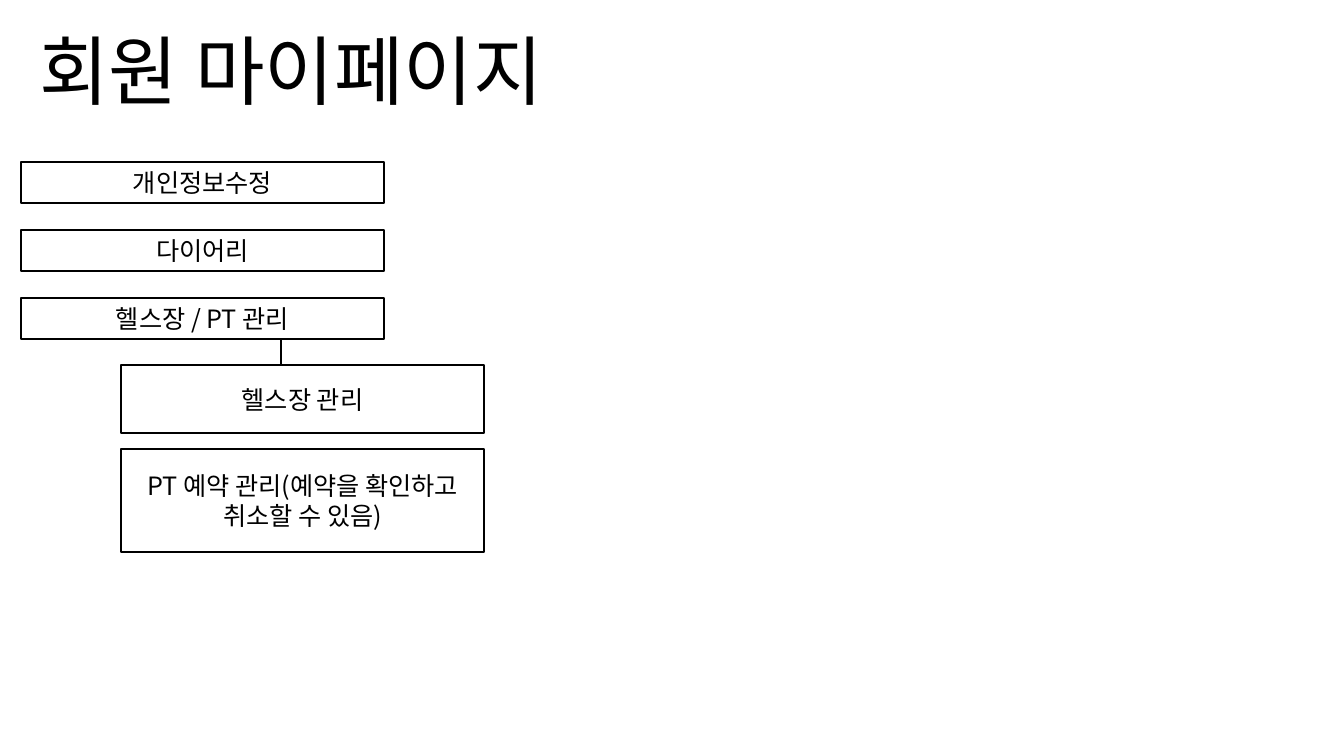
from pptx import Presentation
from pptx.dml.color import RGBColor
from pptx.enum.shapes import MSO_CONNECTOR as Link, MSO_SHAPE as Kind
from pptx.enum.text import MSO_ANCHOR as Anchor, MSO_AUTO_SIZE as Fit, PP_ALIGN as Align
from pptx.oxml.ns import qn
from pptx.util import Pt
from lxml.etree import SubElement

FONT = "Noto Sans CJK KR"
INK, PAPER = "000000", "FFFFFF"
SCALE = 914400 / 100.8


def px(size):
    return round(size * SCALE)


def tint(code):
    return RGBColor.from_string(code)


def write(frame, text, size):
    para = frame.paragraphs[0]
    para.alignment = Align.CENTER
    run = para.add_run()
    run.text = text
    run.font.name = FONT
    run.font.size = Pt(size)
    run.font.color.rgb = tint(INK)
    SubElement(run.font._element, qn("a:ea"), typeface=FONT)


def title(slide, left, top, width, height, text):
    area = slide.shapes.add_textbox(px(left), px(top), px(width), px(height))
    frame = area.text_frame
    frame.word_wrap = False
    frame.auto_size = Fit.SHAPE_TO_FIT_TEXT
    write(frame, text, 54)


def item(slide, left, top, width, height, text):
    box = slide.shapes.add_shape(Kind.RECTANGLE, px(left), px(top), px(width), px(height))
    box.shadow.inherit = False
    box.fill.solid()
    box.fill.fore_color.rgb = tint(PAPER)
    box.line.color.rgb = tint(INK)
    box.line.width = Pt(1)
    frame = box.text_frame
    frame.word_wrap = True
    frame.vertical_anchor = Anchor.MIDDLE
    write(frame, text, 18)


def stem(slide, left, top, height):
    line = slide.shapes.add_connector(
        Link.STRAIGHT, px(left), px(top), px(left), px(top + height))
    line.line.color.rgb = tint(INK)
    line.line.width = Pt(1.5)
    SubElement(line._element.spPr, qn("a:effectLst"))


def menu(slide, left, top, width, names):
    high, gap = 41, 27
    for name in names:
        item(slide, left, top, width, high, name)
        top += high + gap
    stem(slide, left + 260, top - gap, gap)


def branch(slide, left, top, width, parts):
    gap = 16
    for name, high in parts:
        item(slide, left, top, width, high, name)
        top += high + gap


deck = Presentation()
deck.slide_width, deck.slide_height = px(1344), px(756)
page = deck.slides.add_slide(deck.slide_layouts[6])

title(page, 0, 19, 582, 102, "회원 마이페이지")
menu(page, 21, 162, 363, ["개인정보수정", "다이어리", "헬스장 / PT 관리"])
branch(page, 121, 365, 363, [
    ("헬스장 관리", 68),
    ("PT 예약 관리(예약을 확인하고 취소할 수 있음)", 103),
])

deck.save("out.pptx")
